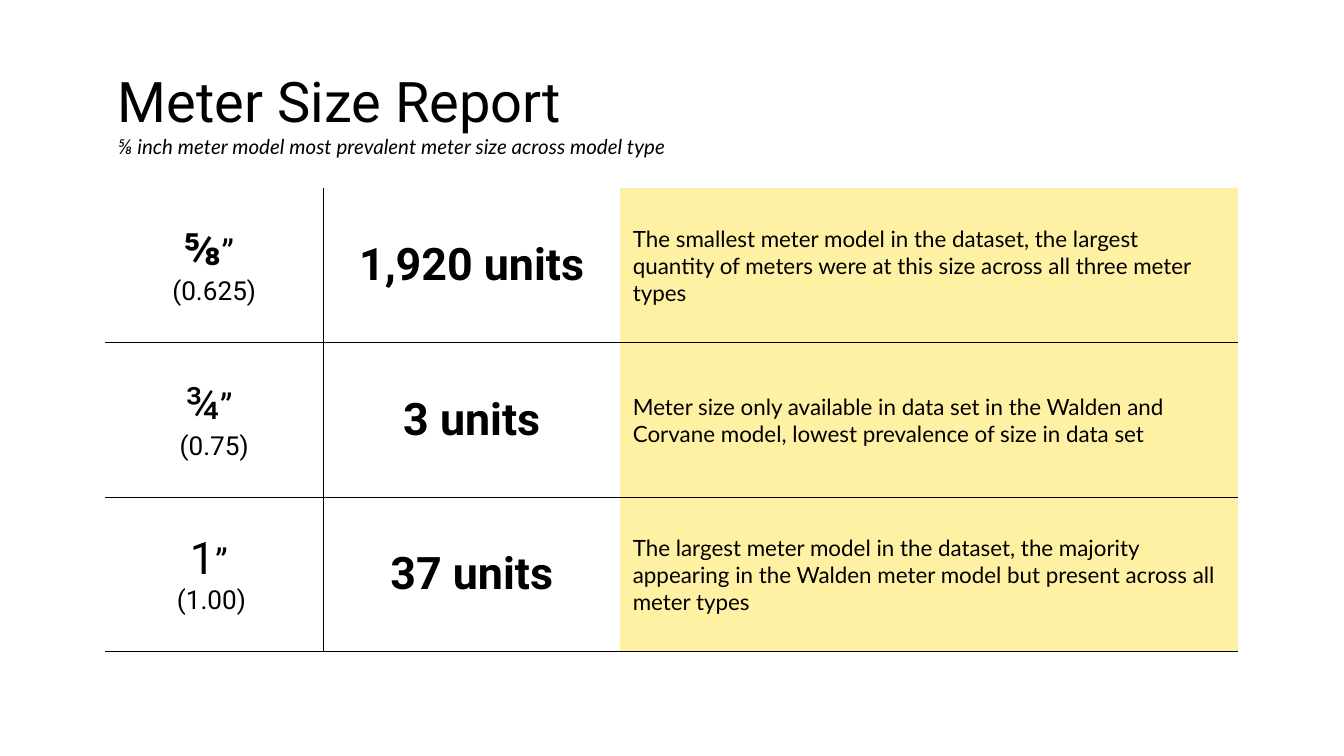
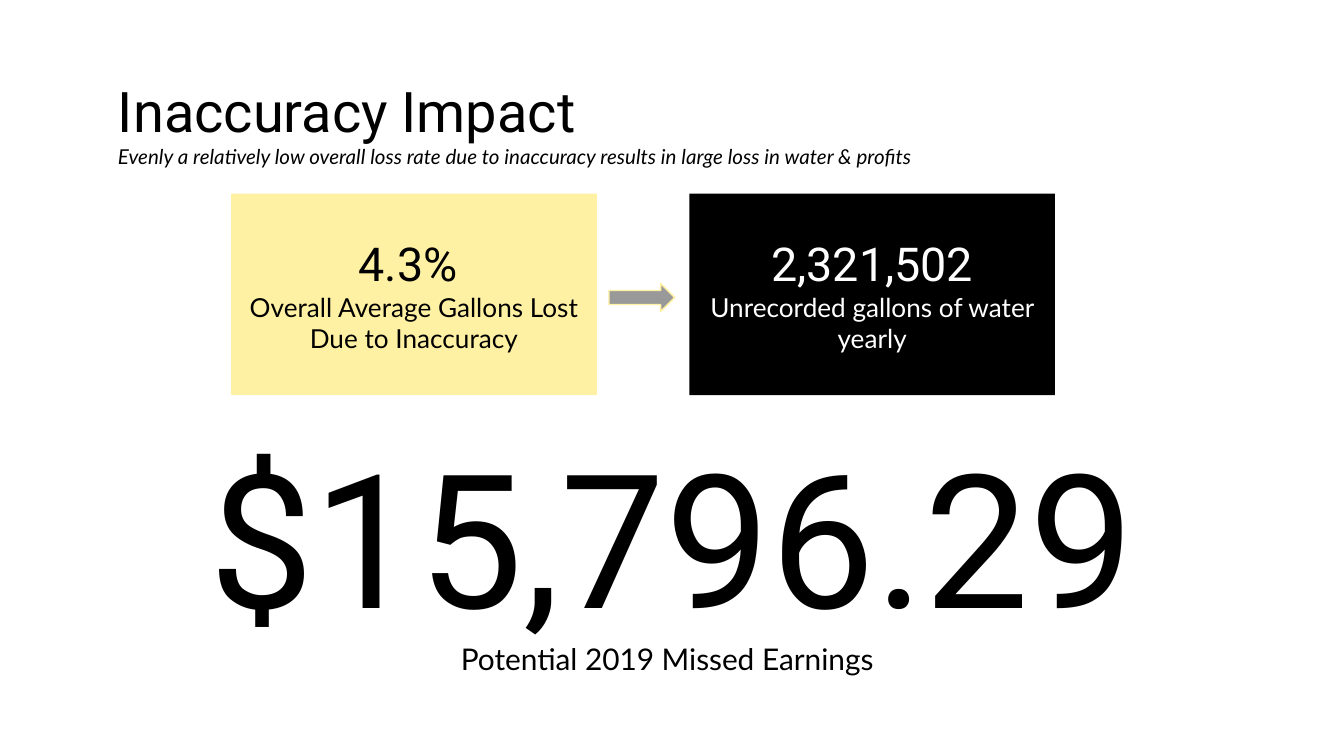
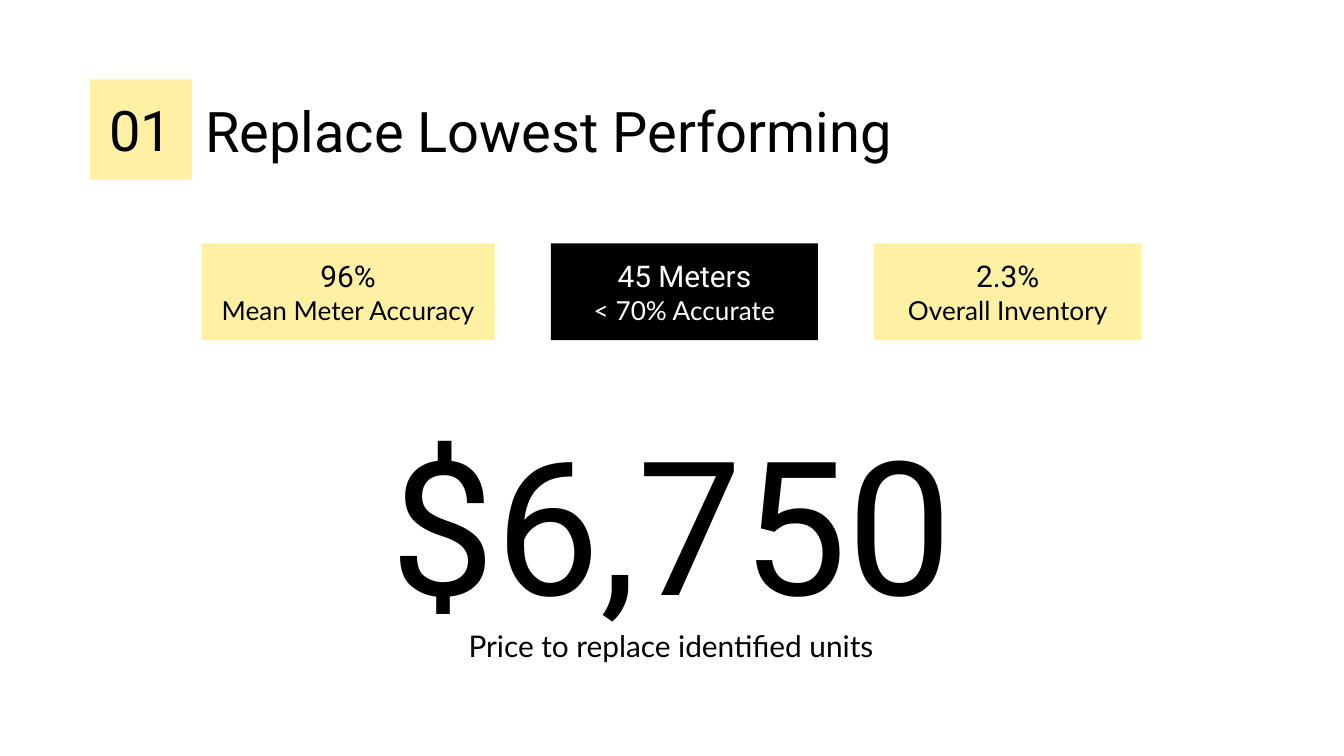
from dataclasses import dataclass, field
from typing import Any, NamedTuple

from lxml import etree
from pptx import Presentation
from pptx.dml.color import RGBColor
from pptx.enum import shapes, text
from pptx.oxml import ns
from pptx.util import Cm, Pt

CENTER, LEFT = text.PP_ALIGN.CENTER, text.PP_ALIGN.LEFT
MIDDLE, TOP = text.MSO_ANCHOR.MIDDLE, text.MSO_ANCHOR.TOP


# Shared look
@dataclass(frozen=True)
class Theme:
    ink: str = "000000"
    paper: str = "FFFFFF"
    accent: str = "FFF1A3"
    arrow: str = "999999"
    heading_font: str = "Roboto"
    body_font: str = "Lato"
    title: int = 30
    subtitle: int = 11
    amount: int = 100
    caption: int = 16
    label: int = 14
    impact: int = 25
    fact: int = 16
    table_big: int = 24
    table_mark: int = 19
    table_note: int = 12
    rule: float = 0.75


THEME = Theme()
MARGINS = {f"margin_{side}": Cm(0.25) for side in ("left", "right", "top", "bottom")}


class Area(NamedTuple):
    left: float
    top: float
    width: float
    height: float

    def lengths(self) -> list[Cm]:
        return [Cm(value) for value in self]


class Span(NamedTuple):
    words: str
    size: int
    font: str = THEME.heading_font
    bold: bool = False
    italic: bool = False


@dataclass
class Line:
    spans: list[Span]
    align: Any = CENTER
    spacing: dict[str, Any] = field(default_factory=dict)


class Card(NamedTuple):
    figure: str
    label: str
    width: float
    fill: str = THEME.accent


class MeterSize(NamedTuple):
    inches: str
    decimal: list[Span]
    units: str
    remark: str
    bold: bool = False


# Text and placeholders
def apply(target: Any, values: dict[str, Any]) -> None:
    for name, value in values.items():
        setattr(target, name, value)


def write(frame: Any, lines: list[Line], color: str = THEME.ink) -> None:
    for index, line in enumerate(lines):
        para = frame.paragraphs[0] if index == 0 else frame.add_paragraph()
        apply(para, {"alignment": line.align, "space_before": Pt(0), **line.spacing})
        for span in line.spans:
            run = para.add_run()
            run.text = span.words
            apply(run.font, {"size": Pt(span.size), "name": span.font,
                             "bold": span.bold, "italic": span.italic})
            run.font.color.rgb = RGBColor.from_string(color)


def write_box(box: Any, lines: list[Line], color: str = THEME.ink, anchor: Any = MIDDLE,
              auto_size: Any = text.MSO_AUTO_SIZE.NONE) -> None:
    apply(box.text_frame, {**MARGINS, "word_wrap": True, "auto_size": auto_size,
                           "vertical_anchor": anchor})
    write(box.text_frame, lines, color)


def place(box: Any, area: Area) -> None:
    apply(box, dict(zip(("left", "top", "width", "height"), area.lengths())))


def add_title(page: Any, area: Area, title: str, subtitle: str = "") -> None:
    lines = [Line([Span(title, THEME.title)], LEFT)]
    if subtitle:
        lines.append(Line([Span(subtitle, THEME.subtitle, THEME.body_font, italic=True)], LEFT))
    place(page.shapes.title, area)
    write_box(page.shapes.title, lines)


# Shapes
def add_block(page: Any, kind: Any, area: Area, fill: str) -> Any:
    box = page.shapes.add_shape(kind, *area.lengths())
    box.shadow.inherit = False
    box.fill.solid()
    box.fill.fore_color.rgb = RGBColor.from_string(fill)
    box.line.fill.background()
    return box


def add_cards(page: Any, cards: list[Card], start: Area, gap: float, size: int) -> None:
    left = start.left
    for card in cards:
        area = Area(left, start.top, card.width, start.height)
        box = add_block(page, shapes.MSO_SHAPE.RECTANGLE, area, card.fill)
        color = THEME.paper if card.fill == THEME.ink else THEME.ink
        write_box(box, [Line([Span(card.figure, size)]),
                        Line([Span(card.label, THEME.label, THEME.body_font)])], color)
        left += card.width + gap


def add_amount(page: Any, top: float, amount: str, caption: str) -> None:
    box = page.shapes.add_textbox(*Area(1.07, top, 23.24, 4.8).lengths())
    write_box(box, [Line([Span(amount, THEME.amount)])], anchor=TOP,
              auto_size=text.MSO_AUTO_SIZE.SHAPE_TO_FIT_TEXT)
    body = page.placeholders[1]
    place(body, Area(1.98, top + 4.04, 21.41, 1.37))
    write_box(body, [Line([Span(caption, THEME.caption, THEME.body_font)],
                          spacing={"line_spacing": 1.15, "space_after": Pt(16)})], anchor=TOP)
    # The caption is plain text without a bullet
    props = body.text_frame.paragraphs[0]._p.get_or_add_pPr()
    apply_attributes = {"marL": "0", "indent": "0"}
    for name, value in apply_attributes.items():
        props.set(name, value)
    etree.SubElement(props, ns.qn("a:buNone"))


# Table
def set_borders(cell: Any, ruled: set[str]) -> None:
    props = cell._tc.get_or_add_tcPr()
    for side in "LRTB":
        border = etree.SubElement(props, ns.qn(f"a:ln{side}"), w=str(Pt(THEME.rule)))
        if side in ruled:
            solid = etree.SubElement(border, ns.qn("a:solidFill"))
            etree.SubElement(solid, ns.qn("a:srgbClr"), val=THEME.ink)
        else:
            etree.SubElement(border, ns.qn("a:noFill"))


def add_size_table(page: Any, sizes: list[MeterSize]) -> None:
    widths, row_height = (4.14, 5.59, 11.68), 2.92
    area = Area(1.98, 3.56, sum(widths), row_height * len(sizes))
    table = page.shapes.add_table(len(sizes), len(widths), *area.lengths()).table
    apply(table, {"first_row": False, "horz_banding": False})
    for column, width in zip(table.columns, widths):
        column.width = Cm(width)
    for row, size in enumerate(sizes):
        table.rows[row].height = Cm(row_height)
        contents = [
            [Line([Span(size.inches, THEME.table_big, bold=size.bold),
                   Span("”", THEME.table_mark), Span(" ", THEME.table_big)]),
             Line(size.decimal)],
            [Line([Span(size.units, THEME.table_big, bold=True)])],
            [Line([Span(size.remark, THEME.table_note, THEME.body_font)], LEFT)],
        ]
        for col, lines in enumerate(contents):
            cell = table.cell(row, col)
            ruled = {"B"} | ({"T"} if row else set()) | {0: {"R"}, 1: {"L"}}.get(col, set())
            set_borders(cell, ruled)
            apply(cell, {**MARGINS, "vertical_anchor": MIDDLE})
            if col == 2:
                cell.fill.solid()
                cell.fill.fore_color.rgb = RGBColor.from_string(THEME.accent)
            else:
                cell.fill.background()
            write(cell.text_frame, lines)


# Slides
def build_size_report(deck: Any) -> None:
    page = deck.slides.add_slide(deck.slide_layouts[5])
    add_title(page, Area(1.98, 1.3, 21.41, 1.65), "Meter Size Report",
              "⅝ inch meter model most prevalent meter size across model type")
    add_size_table(page, [
        MeterSize("⅝", [Span("(0.625)", THEME.label)], "1,920 units",
                  "The smallest meter model in the dataset, the largest quantity of meters "
                  "were at this size across all three meter types", bold=True),
        MeterSize("¾", [Span("(0.75)", THEME.label)], "3 units",
                  "Meter size only available in data set in the Walden and Corvane model, "
                  "lowest prevalence of size in data set"),
        MeterSize("1", [Span("(1.00)", THEME.label), Span(" ", THEME.table_note)], "37 units",
                  "The largest meter model in the dataset, the majority appearing in the "
                  "Walden meter model but present across all meter types"),
    ])


def build_impact(deck: Any) -> None:
    page = deck.slides.add_slide(deck.slide_layouts[1])
    add_title(page, Area(1.98, 1.5, 21.41, 1.63), "Inaccuracy Impact",
              "Evenly a relatively low overall loss rate due to inaccuracy results in "
              "large loss in water & profits")
    add_cards(page, [
        Card("4.3% ", "Overall Average Gallons Lost Due to Inaccuracy", 6.91),
        Card("2,321,502", "Unrecorded gallons of water yearly", 6.91, THEME.ink),
    ], Area(4.37, 3.66, 6.91, 3.81), 1.75, THEME.impact)
    arrow = add_block(page, shapes.MSO_SHAPE.RIGHT_ARROW,
                      Area(11.51, 5.36, 1.24, 0.53), THEME.arrow)
    arrow.line.color.rgb = RGBColor.from_string(THEME.accent)
    arrow.line.width = Pt(THEME.rule)
    add_amount(page, 7.72, "$15,796.29", "Potential 2019 Missed Earnings ")


def build_replacement(deck: Any) -> None:
    page = deck.slides.add_slide(deck.slide_layouts[1])
    add_title(page, Area(3.63, 1.35, 19.76, 2.21), "Replace Lowest Performing")
    add_cards(page, [
        Card("96%", "Mean Meter Accuracy", 5.54),
        Card("45 Meters", "< 70% Accurate", 5.05, THEME.ink),
        Card("2.3%", "Overall Inventory", 5.05),
    ], Area(3.81, 4.6, 5.54, 1.83), 1.06, THEME.fact)
    number = add_block(page, shapes.MSO_SHAPE.RECTANGLE,
                       Area(1.7, 1.5, 1.93, 1.9), THEME.accent)
    write_box(number, [Line([Span("01", THEME.title)])])
    add_amount(page, 7.47, "$6,750", "Price to replace identified units")


def main() -> None:
    deck = Presentation()
    apply(deck, {"slide_width": Cm(25.4), "slide_height": Cm(14.29)})
    for build in (build_size_report, build_impact, build_replacement):
        build(deck)
    deck.save("out.pptx")


if __name__ == "__main__":
    main()
